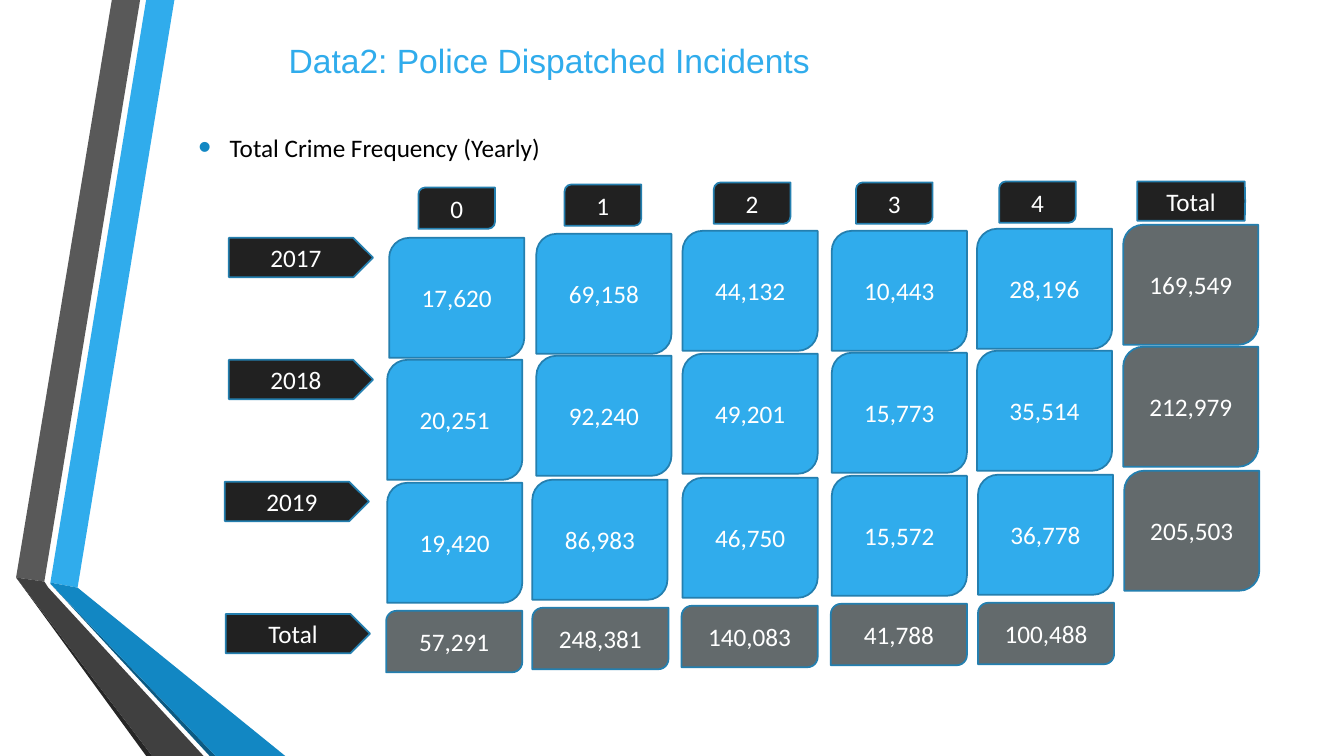
from lxml.etree import SubElement
from pptx import Presentation
from pptx.dml.color import RGBColor
from pptx.enum.shapes import MSO_SHAPE as SHAPE
from pptx.enum.text import MSO_ANCHOR as ANCHOR, PP_ALIGN as ALIGN
from pptx.oxml.ns import qn
from pptx.util import Inches, Pt

COLORS = {
    "blue": "30ACEC", "deep_blue": "1287C3", "navy": "0C5A82", "outline": "247FAF",
    "gray": "595959", "dark_gray": "404040", "shade": "262626",
    "label": "212121", "total": "636A6C", "white": "FFFFFF", "black": "000000",
}

deck = Presentation()
deck.slide_width, deck.slide_height = Inches(13.33), Inches(7.5)
page = deck.slides.add_slide(deck.slide_layouts[6])


def write(box, text, align, anchor, color, font="Calibri", size=18):
    frame = box.text_frame
    frame.word_wrap = True
    frame.vertical_anchor = anchor
    frame.text = text
    para = frame.paragraphs[0]
    para.alignment = align
    span = para.runs[0]
    span.font.name = font
    span.font.size = Pt(size)
    span.font.color.rgb = RGBColor.from_string(COLORS[color])
    return para


def add_tile(kind, left, top, width, height, fill, text):
    tile = page.shapes.add_shape(kind, Inches(left), Inches(top), Inches(width), Inches(height))
    tile.shadow.inherit = False
    tile.fill.solid()
    tile.fill.fore_color.rgb = RGBColor.from_string(COLORS[fill])
    tile.line.color.rgb = RGBColor.from_string(COLORS["outline"])
    tile.line.width = Pt(1.25)
    write(tile, text, ALIGN.CENTER, ANCHOR.MIDDLE, "white")
    return tile


ribbons = [
    ("blue", [(0.5, 5.78), (0.77, 5.83), (1.73, 0), (1.45, 0)]),
    ("gray", [(1.39, 0), (1.11, 0), (0.16, 5.73), (0.44, 5.77)]),
    ("shade", [(0.16, 5.73), (1.45, 7.5), (1.51, 7.5)]),
    ("navy", [(0.5, 5.79), (2.08, 7.5), (2.14, 7.5)]),
    ("deep_blue", [(0.5, 5.79), (2.14, 7.5), (2.83, 7.5), (0.77, 5.83), (0.5, 5.78)]),
    ("dark_gray", [(2.02, 7.5), (0.48, 5.83), (0.44, 5.77), (0.16, 5.73), (1.51, 7.5)]),
]
for color, corners in ribbons:
    points = [(Inches(x), Inches(y)) for x, y in corners]
    outline = page.shapes.build_freeform(*points[0])
    outline.add_line_segments(points[1:], close=True)
    ribbon = outline.convert_to_shape()
    ribbon.shadow.inherit = False
    ribbon.fill.solid()
    ribbon.fill.fore_color.rgb = RGBColor.from_string(COLORS[color])
    ribbon.line.fill.background()

title = page.shapes.add_textbox(Inches(1.07), Inches(0.19), Inches(7.06), Inches(0.81))
write(title, "Data2: Police Dispatched Incidents", ALIGN.RIGHT, ANCHOR.MIDDLE, "blue", "Arial", 24)

subtitle = page.shapes.add_textbox(Inches(1.87), Inches(1.35), Inches(6.81), Inches(0.31))
para = write(subtitle, "Total Crime Frequency (Yearly)", ALIGN.LEFT, ANCHOR.BOTTOM, "black")
para.space_before = Pt(3.6)
para.space_after = Pt(6)
bullet = para._p.get_or_add_pPr()
bullet.set("marL", str(Inches(0.31)))
bullet.set("indent", str(-Inches(0.31)))
SubElement(SubElement(bullet, qn("a:buClr")), qn("a:srgbClr"), val=COLORS["deep_blue"])
SubElement(bullet, qn("a:buSzPct"), val="145000")
SubElement(bullet, qn("a:buFont"), typeface="Arial")
SubElement(bullet, qn("a:buChar"), char="•")

year_labels = [("2017", 2.27, 2.36), ("2018", 2.27, 3.57), ("2019", 2.23, 4.78), ("Total", 2.24, 6.09)]
for text, left, top in year_labels:
    add_tile(SHAPE.PENTAGON, left, top, 1.43, 0.39, "label", text)

crime_columns = [
    ("0", 4.15, 1.86, [("17,620", 3.86, 2.36), ("20,251", 3.84, 3.57), ("19,420", 3.84, 4.79)],
     ("57,291", 3.83, 6.06)),
    ("1", 5.6, 1.83, [("69,158", 5.32, 2.32), ("92,240", 5.32, 3.53), ("86,983", 5.28, 4.76)],
     ("248,381", 5.28, 6.03)),
    ("2", 7.08, 1.81, [("44,132", 6.77, 2.29), ("49,201", 6.77, 3.51), ("46,750", 6.77, 4.74)],
     ("140,083", 6.76, 6.01)),
    ("3", 8.49, 1.81, [("10,443", 8.25, 2.29), ("15,773", 8.25, 3.5), ("15,572", 8.25, 4.72)],
     ("41,788", 8.24, 5.99)),
    ("4", 9.91, 1.8, [("28,196", 9.69, 2.27), ("35,514", 9.69, 3.48), ("36,778", 9.7, 4.71)],
     ("100,488", 9.7, 5.98)),
]
for header, header_left, header_top, counts, (total, total_left, total_top) in crime_columns:
    add_tile(SHAPE.ROUND_2_DIAG_RECTANGLE, header_left, header_top, 0.76, 0.41, "label", header)
    for count, left, top in counts:
        add_tile(SHAPE.ROUND_2_DIAG_RECTANGLE, left, top, 1.34, 1.19, "blue", count)
    add_tile(SHAPE.ROUND_2_DIAG_RECTANGLE, total_left, total_top, 1.35, 0.61, "total", total)

total_header = add_tile(SHAPE.PENTAGON, 11.28, 1.8, 1.07, 0.39, "label", "Total")
total_header.adjustments[0] = 0.01
for total, left, top in [("169,549", 11.14, 2.23), ("212,979", 11.14, 3.44), ("205,503", 11.15, 4.67)]:
    add_tile(SHAPE.ROUND_2_DIAG_RECTANGLE, left, top, 1.34, 1.19, "total", total)

deck.save("out.pptx")
